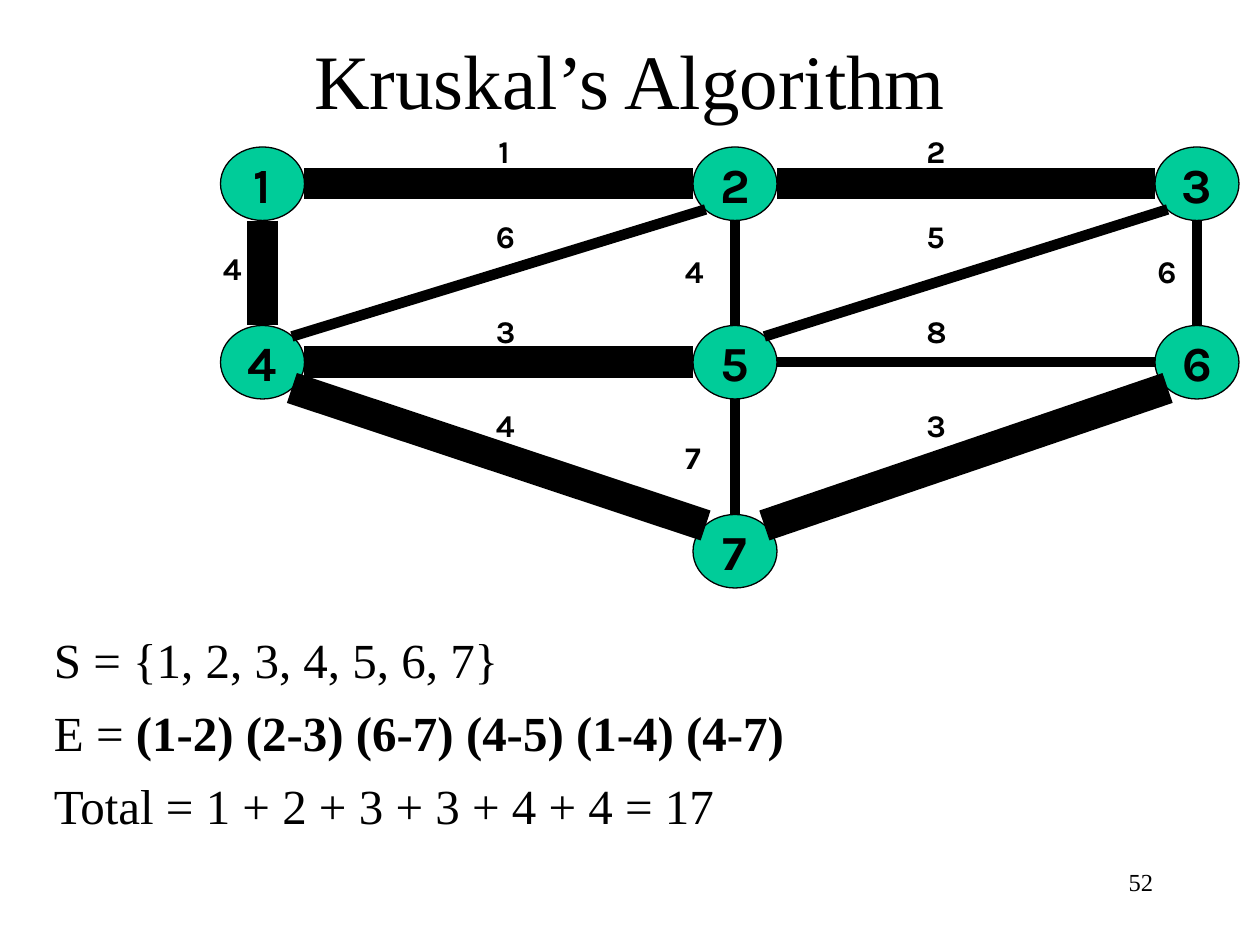
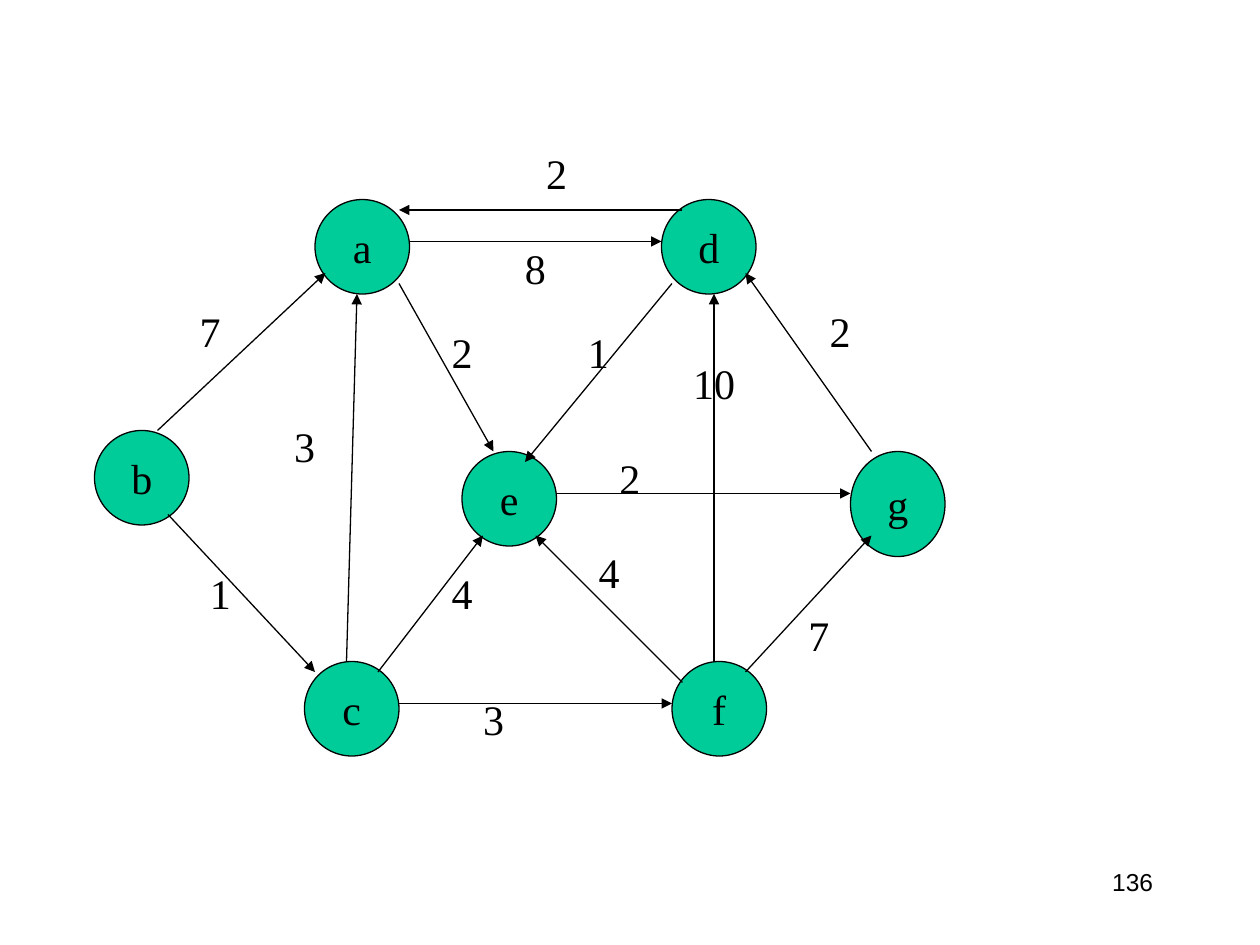
from lxml.etree import SubElement
from pptx import Presentation
from pptx.dml.color import RGBColor
from pptx.enum.shapes import MSO_CONNECTOR as Line, MSO_SHAPE as Shape
from pptx.enum.text import MSO_ANCHOR as Anchor, PP_ALIGN as Align
from pptx.oxml.ns import qn
from pptx.util import Inches, Pt

INK, NODE_GREEN = "000000", "00CC99"
SERIF, SANS, BOLD_SANS = "Times New Roman", "Arial", "Karla"
CELLS_PER_INCH = 12  # every diagram position below is in grid cells


def color(hex_code):
    return RGBColor.from_string(hex_code)


def write(shape, *lines, font=SERIF, size=24, bold=False, align=Align.CENTER,
          anchor=Anchor.TOP, wrap=True, gap=0):
    """Fill a shape with lines; a line is a string or a list of (text, bold) spans."""
    frame = shape.text_frame
    frame.word_wrap, frame.vertical_anchor = wrap, anchor
    for index, line in enumerate(lines):
        para = frame.paragraphs[0] if index == 0 else frame.add_paragraph()
        para.alignment = align
        if index:
            para.space_before = Pt(gap)
        for text, heavy in [(line, bold)] if isinstance(line, str) else line:
            span = para.add_run()
            span.text = text
            span.font.name, span.font.size, span.font.bold = font, Pt(size), heavy
            span.font.color.rgb = color(INK)


# Spanning tree: nodes on three columns and three rows
COLUMNS, ROWS = (21, 66, 110), (14, 31, 49)
TREE_NODE = (8, 7)
tree_places = {str(number): (COLUMNS[column], ROWS[row]) for number, (column, row) in enumerate(
    [(0, 0), (1, 0), (2, 0), (0, 1), (1, 1), (2, 1), (1, 2)], start=1)}
SITES = {"N": (0.5, 0), "S": (0.5, 1), "W": (0, 0.5), "E": (1, 0.5),
         "NW": (0.15, 0.15), "NE": (0.85, 0.15), "SW": (0.15, 0.85), "SE": (0.85, 0.85)}
CHOSEN, OTHER = 18, 6

# start node and side, end node and side, weight, label centre, line width
tree_links = [
    ("1", "E", "2", "W", "1", (48, 14.4), CHOSEN),
    ("2", "E", "3", "W", "2", (89, 14.4), CHOSEN),
    ("1", "S", "4", "N", "4", (22, 25.5), CHOSEN),
    ("4", "E", "5", "W", "3", (48, 31.5), CHOSEN),
    ("5", "N", "2", "S", "4", (66, 25.8), OTHER),
    ("5", "E", "6", "W", "8", (89, 31.5), OTHER),
    ("6", "N", "3", "S", "6", (111, 25.8), OTHER),
    ("5", "S", "7", "N", "7", (66, 43.5), OTHER),
    ("4", "SE", "7", "NW", "4", (48, 40.5), CHOSEN),
    ("4", "NE", "2", "SW", "6", (48, 22.5), OTHER),
    ("5", "NE", "3", "SW", "5", (89, 22.5), OTHER),
    ("7", "NE", "6", "SW", "3", (89, 40.5), CHOSEN),
]
tree_edges = []
for start, start_side, end, end_side, weight, label, width in tree_links:
    ends = [[place + share * length for place, share, length
             in zip(tree_places[node], SITES[side], TREE_NODE)]
            for node, side in ((start, start_side), (end, end_side))]
    tree_edges.append((*ends, weight, label, width))

# Directed graph: start, end, weight, label centre
ARROW = 0.75
directed_edges = [(*edge, ARROW) for edge in [
    ((16, 49), (30, 64), "1", (21, 56.5)),
    ((36, 64), (46, 51), "4", (44, 56.5)),
    ((33, 63), (34, 28), "3", (29, 42.5)),
    ((38, 67), (64, 67), "3", (47, 68.5)),
    ((68, 63), (68, 28), "10", (68, 36.5)),
    ((39, 23), (63, 23), "8", (51, 25.5)),
    ((38, 27), (47, 43), "2", (44, 33.5)),
    ((64, 27), (50, 44), "1", (57, 33.5)),
    ((65, 65), (51, 51), "4", (58, 54.5)),
    ((53, 47), (81, 47), "2", (60, 45.5)),
    ((83, 43), (71, 26), "2", (80, 31.5)),
    ((71, 64), (83, 51), "7", (78, 60.5)),
    ((65, 20), (38, 20), "2", (53, 16.5)),
    ((15, 41), (31, 26), "7", (20, 31.5)),
]]

graphs = [
    dict(number="52", number_font=SERIF, edges=tree_edges, arrows=False,
         nodes=[(name, place, TREE_NODE) for name, place in tree_places.items()],
         node_size=28, label_size=18, style=dict(font=BOLD_SANS, bold=True)),
    dict(number="136", number_font=SANS, edges=directed_edges, arrows=True,
         nodes=[("b", (9, 41), (9, 9)), ("e", (44, 43), (9, 9)), ("c", (29, 63), (9, 9)),
                ("a", (30, 19), (9, 9)), ("f", (64, 63), (9, 9)), ("d", (63, 19), (9, 9)),
                ("g", (81, 43), (9, 10))],
         node_size=24, label_size=24, style=dict(font=SERIF)),
]

deck = Presentation()
deck.slide_width, deck.slide_height = Inches(10), Inches(7.5)

for graph in graphs:
    page = deck.slides.add_slide(deck.slide_layouts[6])
    box = page.shapes.add_textbox(Inches(7.17), Inches(6.83), Inches(2.08), Inches(0.5))
    write(box, graph["number"], font=graph["number_font"], size=14, align=Align.RIGHT)

    for name, place, extent in graph["nodes"]:
        node = page.shapes.add_shape(
            Shape.OVAL, *[Inches(cells / CELLS_PER_INCH) for cells in (*place, *extent)])
        node.shadow.inherit = False
        node.fill.solid()
        node.fill.fore_color.rgb = color(NODE_GREEN)
        node.line.color.rgb = color(INK)
        node.line.width = Pt(0.75)
        write(node, name, size=graph["node_size"], anchor=Anchor.MIDDLE, wrap=False,
              **graph["style"])

    for start, end, weight, label, width in graph["edges"]:
        edge = page.shapes.add_connector(
            Line.STRAIGHT, *[Inches(cells / CELLS_PER_INCH) for cells in (*start, *end)])
        edge.line.color.rgb = color(INK)
        edge.line.width = Pt(width)
        if graph["arrows"]:
            SubElement(edge.line._get_or_add_ln(), qn("a:tailEnd"), type="triangle")
        SubElement(edge._element.spPr, qn("a:effectLst"))

        size = graph["label_size"]
        box_width, box_height = 0.2 + len(weight) * size / 144, 0.1 + size / 60
        x, y = (cells / CELLS_PER_INCH for cells in label)
        box = page.shapes.add_textbox(Inches(x - box_width / 2), Inches(y - box_height / 2),
                                      Inches(box_width), Inches(box_height))
        write(box, weight, size=size, wrap=False, **graph["style"])

# Title and result of the spanning tree
page = deck.slides[0]
title = page.shapes.add_textbox(Inches(0.33), 0, Inches(9.34), Inches(1.25))
write(title, "Kruskal’s Algorithm", size=44, anchor=Anchor.MIDDLE)
result = page.shapes.add_textbox(Inches(0.33), Inches(4.95), Inches(9.34), Inches(2.25))
write(result,
      "S = {1, 2, 3, 4, 5, 6, 7}",
      [("E = ", False), ("(1-2) (2-3) (6-7) (4-5) (1-4) (4-7)", True)],
      "Total = 1 + 2 + 3 + 3 + 4 + 4 = 17",
      size=28, align=Align.LEFT, gap=8)

deck.save("out.pptx")
